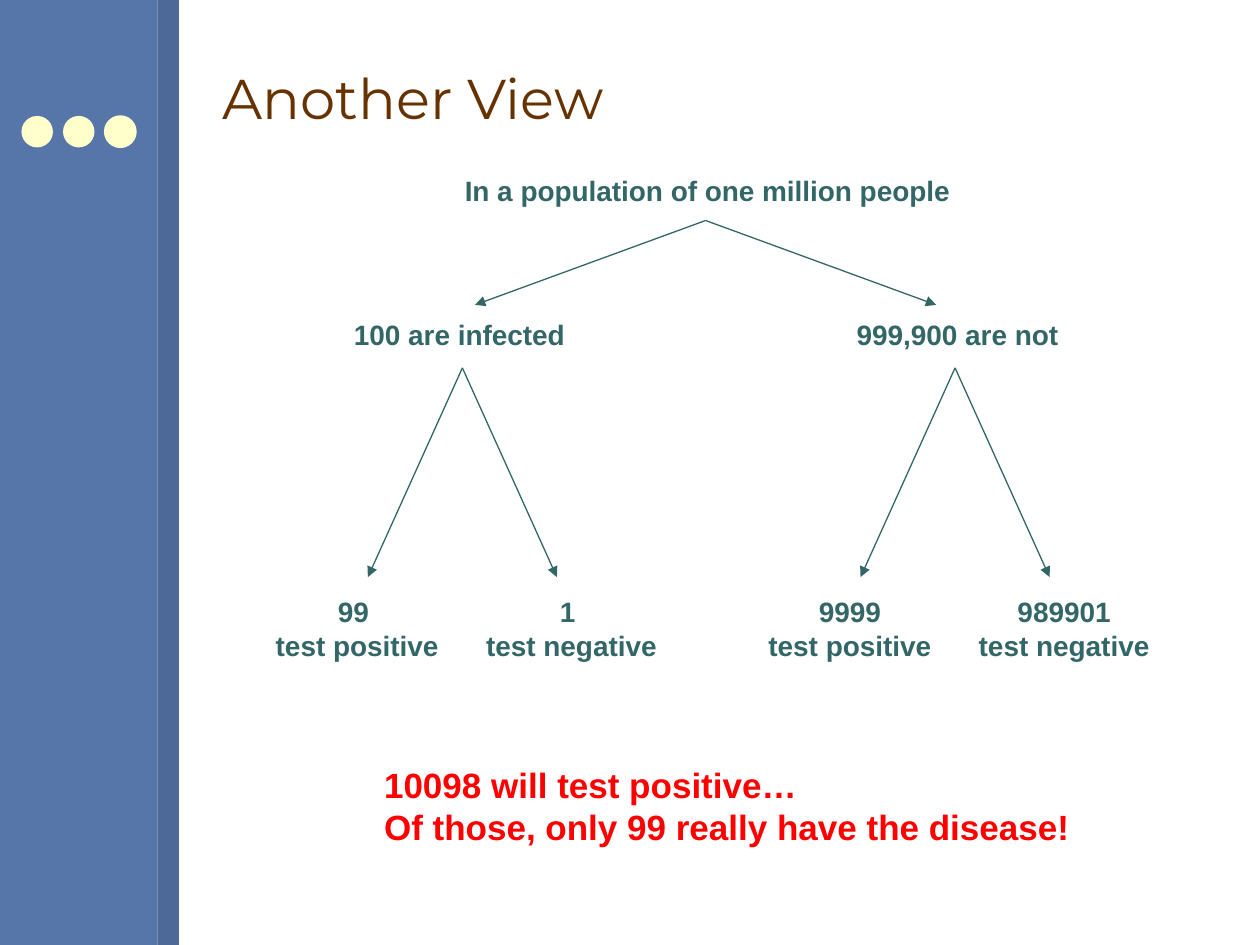
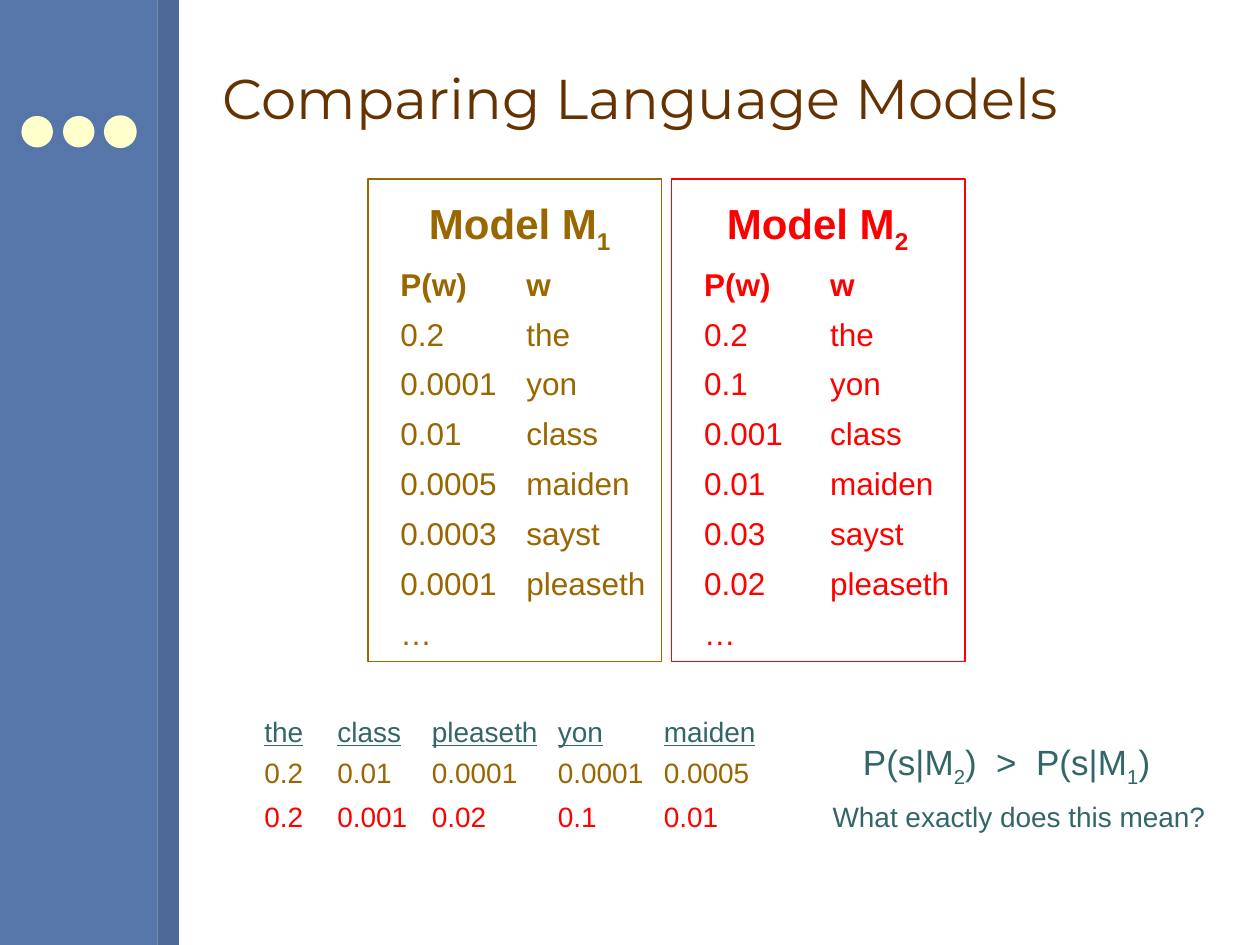
from lxml import etree
from pptx import Presentation
from pptx.dml.color import RGBColor
from pptx.enum.shapes import MSO_CONNECTOR, MSO_SHAPE
from pptx.enum.text import MSO_ANCHOR, MSO_AUTO_SIZE, PP_ALIGN
from pptx.oxml.ns import qn
from pptx.util import Inches, Pt

RECTANGLE, OVAL = MSO_SHAPE.RECTANGLE, MSO_SHAPE.OVAL
STRAIGHT = MSO_CONNECTOR.STRAIGHT
LEFT, CENTER = PP_ALIGN.LEFT, PP_ALIGN.CENTER
TOP, MIDDLE = MSO_ANCHOR.TOP, MSO_ANCHOR.MIDDLE
GROW, FIXED = MSO_AUTO_SIZE.SHAPE_TO_FIT_TEXT, MSO_AUTO_SIZE.NONE

BAND, BAND_EDGE, DOT = "5675A9", "4D6997", "FFFFCC"
BROWN, TEAL, OCHRE, RED = "663300", "336666", "996600", "FF0000"
BODY_FONT, TITLE_FONT = "Arial", "Montserrat"


def color(value):
    return RGBColor.from_string(value)


class Deck:
    """Holds the shared style and the slide being built."""

    def __init__(self):
        self.presentation = Presentation()
        self.presentation.slide_width = Inches(10)
        self.presentation.slide_height = Inches(7.5)
        self.page = None

    def add_page(self, title):
        self.page = self.presentation.slides.add_slide(self.presentation.slide_layouts[6])
        self.shape(RECTANGLE, 0, 0, 1.25, 7.5, fill=BAND)
        self.shape(RECTANGLE, 1.25, 0, 0.17, 7.5, fill=BAND_EDGE)
        for left, line in ((0.17, None), (0.5, None), (0.83, DOT)):
            self.shape(OVAL, left, 0.92, 0.25, 0.25, fill=DOT, line=line)
        self.text([[title]], 1.67, 0.21, 8, 1.13, size=32, ink=BROWN,
                  font=TITLE_FONT, anchor=MIDDLE, fit=FIXED)

    def shape(self, kind, left, top, width, height, fill=None, line=None):
        shape = self.page.shapes.add_shape(
            kind, Inches(left), Inches(top), Inches(width), Inches(height))
        shape.shadow.inherit = False
        if fill:
            shape.fill.solid()
            shape.fill.fore_color.rgb = color(fill)
        else:
            shape.fill.background()
        if line:
            shape.line.color.rgb = color(line)
            shape.line.width = Pt(0.75)
        else:
            shape.line.fill.background()

    def text(self, lines, left, top, width, height, size=16, ink=TEAL, font=BODY_FONT,
             bold_lines=0, underline=False, align=LEFT, anchor=TOP, fit=GROW,
             wrap=True, spacing=None, gap=0, tab=None):
        """Each line is a list of spans; every second span is a subscript."""
        box = self.page.shapes.add_textbox(
            Inches(left), Inches(top), Inches(width), Inches(height))
        frame = box.text_frame
        frame.word_wrap = wrap
        frame.auto_size = fit
        frame.vertical_anchor = anchor
        for row, spans in enumerate(lines):
            para = frame.paragraphs[0] if row == 0 else frame.add_paragraph()
            if tab:
                stops = etree.SubElement(para._p.get_or_add_pPr(), qn("a:tabLst"))
                etree.SubElement(stops, qn("a:tab"), pos=str(Inches(tab)), algn="l")
            para.alignment = align
            if spacing:
                para.line_spacing = spacing
            if row:
                para.space_before = Pt(gap)
            for index, words in enumerate(spans):
                span = para.add_run()
                span.text = words
                span.font.name = font
                span.font.size = Pt(size)
                span.font.bold = row < bold_lines
                span.font.underline = underline
                span.font.color.rgb = color(ink)
                if index % 2:
                    span._r.get_or_add_rPr().set("baseline", "-25000")

    def arrow(self, start, end):
        line = self.page.shapes.add_connector(STRAIGHT, *map(Inches, start + end))
        line.line.color.rgb = color(TEAL)
        line.line.width = Pt(0.75)
        etree.SubElement(line.line._get_or_add_ln(), qn("a:tailEnd"), type="triangle")
        etree.SubElement(line._element.spPr, qn("a:effectLst"))

    def fork(self, x, top, bottom, spread):
        """Draw two arrows that part evenly from one point."""
        for side in (-spread, spread):
            self.arrow((x, top), (x + side, bottom))

    def save(self):
        self.presentation.save("out.pptx")


def build_tree(deck):
    deck.add_page("Another View")
    for label, left, top, width in (
            ("In a population of one million people", 3.59, 1.33, 4.11),
            ("100 are infected", 2.71, 2.47, 1.93),
            ("999,900 are not", 6.7, 2.47, 1.86)):
        deck.text([[label]], left, top, width, 0.37, bold_lines=1, wrap=False)

    for left, positives, negatives in ((2.06, "99 ", "1 "), (5.97, "9999", "989901")):
        for count, result, offset, width in (
                (positives, "test positive", 0, 1.55),
                (negatives, "test negative", 1.67, 1.61)):
            deck.text([[count], [result]], left + offset, 4.67, width, 0.64,
                      bold_lines=2, align=CENTER, wrap=False)

    for x in (3.67, 7.58):
        deck.fork(x, 2.92, 4.58, 0.75)
    deck.fork(5.6, 1.75, 2.42, 1.83)
    deck.text([["10098 will test positive…"],
               ["Of those, only 99 really have the disease!"]],
              2.95, 6.01, 5.7, 0.77, size=20, ink=RED, bold_lines=2, wrap=False)


def build_models(deck):
    deck.add_page("Comparing Language Models")
    words = ("the", "yon", "class", "maiden", "sayst", "pleaseth")
    models = (
        ("1", OCHRE, 2.92, 3.25, CENTER,
         ("0.2", "0.0001", "0.01", "0.0005", "0.0003", "0.0001")),
        ("2", RED, 5.33, 5.67, LEFT,
         ("0.2", "0.1", "0.001", "0.01", "0.03", "0.02")))
    columns = (("the", 2), ("class", 2.58), ("pleaseth", 3.33),
               ("yon", 4.33), ("maiden", 5.17))

    for word, left in columns:
        deck.text([[word]], left, 5.62, 1.08, 0.37, underline=True)
    for (number, ink, left, heading_left, align, chances), top in zip(models, (5.95, 6.3)):
        rows = [["P(w)\tw"], *([f"{p}\t{w}"] for p, w in zip(chances, words)), ["…"]]
        deck.text(rows, left + 0.16, 2.11, 2.67, 3.12, size=18, ink=ink,
                  bold_lines=1, spacing=0.8, gap=11.2, tab=1)
        deck.text([["Model M", number]], heading_left, 1.52, 1.75, 0.56,
                  size=24, ink=ink, bold_lines=1, align=align)
        deck.shape(RECTANGLE, left, 1.42, 2.33, 3.83, line=ink)
        chance_of = dict(zip(words, chances))
        for word, column in columns:
            deck.text([[chance_of[word]]], column, top, 1, 0.37, ink=ink)

    deck.text([["P(s|M", "2", ")  >  P(s|M", "1", ")"]], 6.75, 5.83, 2.92, 0.48, size=20)
    deck.text([["What exactly does this mean?"]], 6.51, 6.3, 3.21, 0.37, wrap=False)


def main():
    deck = Deck()
    build_tree(deck)
    build_models(deck)
    deck.save()


if __name__ == "__main__":
    main()
